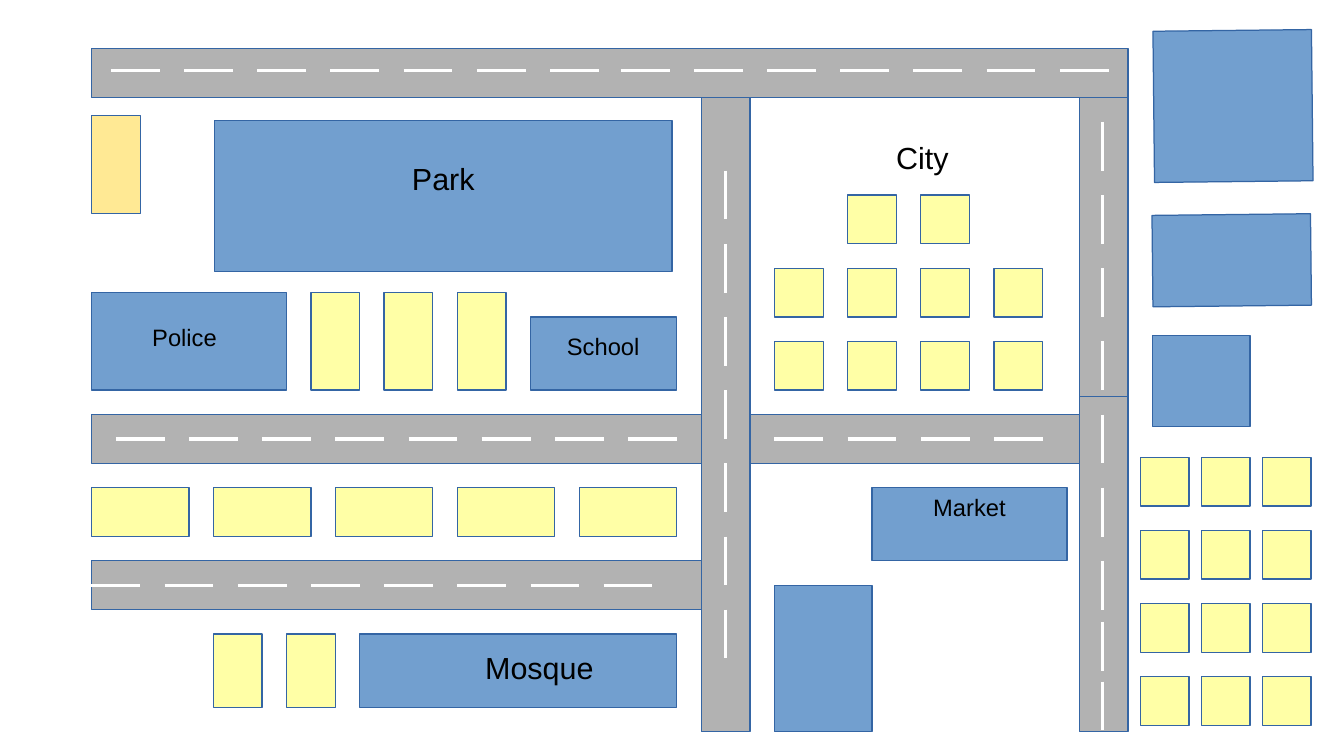
from dataclasses import dataclass

from lxml import etree
from pptx import Presentation
from pptx.dml.color import RGBColor
from pptx.enum.shapes import MSO_CONNECTOR, MSO_SHAPE
from pptx.enum.text import MSO_ANCHOR, PP_ALIGN
from pptx.oxml.ns import qn
from pptx.slide import Slide
from pptx.text.text import TextFrame
from pptx.util import Cm, Length, Pt

RECT = MSO_SHAPE.RECTANGLE
STRAIGHT = MSO_CONNECTOR.STRAIGHT
TOP, MIDDLE = MSO_ANCHOR.TOP, MSO_ANCHOR.MIDDLE
LEFT, CENTER = PP_ALIGN.LEFT, PP_ALIGN.CENTER


@dataclass(frozen=True)
class Theme:
    font: str = "Arial"
    text: str = "000000"
    road: str = "B2B2B2"
    building: str = "729FCF"
    house: str = "FFFFA6"
    gate: str = "FFE994"
    outline: str = "3465A4"
    marking: str = "FFFFFF"
    large: int = 18
    small: int = 14


THEME = Theme()


# Map parts, measured in inches
@dataclass(frozen=True)
class Block:
    x: float
    y: float
    w: float
    h: float
    fill: str
    cols: int = 1
    rows: int = 1
    step_x: float = 0.6
    step_y: float = 0.6
    rotation: float = 0
    text: str = ""
    size: int = THEME.small


@dataclass(frozen=True)
class Label:
    x: float
    y: float
    w: float
    h: float
    text: str
    size: int
    wrap: bool = True


@dataclass(frozen=True)
class Dashes:
    x: float
    y: float
    count: int
    vertical: bool = False
    step: float = 0.6


DASH = 0.4

ROADS = [
    Block(0.75, 3.4, 8.5, 0.4, THEME.road),
    Block(0.75, 4.6, 5.4, 0.4, THEME.road),
    Block(5.75, 0.75, 0.4, 5.25, THEME.road),
    Block(8.85, 0.8, 0.4, 3, THEME.road),
    Block(0.75, 0.4, 8.5, 0.4, THEME.road),
    Block(8.85, 3.25, 0.4, 2.75, THEME.road),
]

HOUSES = [
    Block(6.95, 1.6, 0.4, 0.4, THEME.house, cols=2),
    Block(6.35, 2.2, 0.4, 0.4, THEME.house, cols=4, rows=2),
    Block(2.55, 2.4, 0.4, 0.8, THEME.house, cols=3),
    Block(0.75, 4, 0.8, 0.4, THEME.house, cols=5, step_x=1),
    Block(1.75, 5.2, 0.4, 0.6, THEME.house, cols=2),
    Block(9.35, 3.75, 0.4, 0.4, THEME.house, cols=3, rows=4, step_x=0.5),
]

BUILDINGS = [
    Block(0.75, 0.95, 0.4, 0.8, THEME.gate),
    Block(1.76, 0.99, 3.75, 1.24, THEME.building, text="Park", size=THEME.large),
    Block(0.75, 2.4, 1.6, 0.8, THEME.building),
    Block(4.35, 2.6, 1.2, 0.6, THEME.building),
    Block(2.95, 5.2, 2.6, 0.6, THEME.building),
    Block(7.15, 4, 1.6, 0.6, THEME.building, text="Market"),
    Block(6.35, 4.8, 0.8, 1.2, THEME.building),
    Block(9.46, 0.25, 1.3, 1.24, THEME.building, rotation=359.4),
    Block(9.45, 1.76, 1.3, 0.75, THEME.building, rotation=359.4),
    Block(9.45, 2.75, 0.8, 0.75, THEME.building),
]

MARKINGS = [
    Dashes(0.91, 0.58, 7),
    Dashes(5.09, 0.58, 7),
    Dashes(0.95, 3.6, 8),
    Dashes(6.35, 3.6, 4),
    Dashes(0.75, 4.8, 8),
    Dashes(5.95, 1.4, 7, vertical=True),
    Dashes(9.04, 1, 7, vertical=True),
    Dashes(9.04, 5.1, 2, vertical=True, step=0.49),
]

LABELS = [
    Label(7.25, 1.09, 1.5, 0.66, "City", THEME.large),
    Label(1.15, 2.6, 0.8, 0.91, "Police", THEME.small),
    Label(4.55, 2.67, 0.8, 0.91, "School", THEME.small),
    Label(3.88, 5.27, 1.09, 0.66, "Mosque", THEME.large, wrap=False),
]


def length(inches: float) -> Length:
    return Cm(inches * 2.54)


def rgb(color: str) -> RGBColor:
    return RGBColor.from_string(color)


def write(tf: TextFrame, text: str, size: int, align: PP_ALIGN) -> None:
    tf.text = text
    p = tf.paragraphs[0]
    p.alignment = align
    font = p.runs[0].font
    font.name, font.size = THEME.font, Pt(size)
    font.color.rgb = rgb(THEME.text)


def draw_block(s: Slide, block: Block) -> None:
    for row in range(block.rows):
        for col in range(block.cols):
            x = block.x + col * block.step_x
            y = block.y + row * block.step_y
            sp = s.shapes.add_shape(RECT, length(x), length(y),
                                    length(block.w), length(block.h))
            sp.shadow.inherit = False
            sp.rotation = block.rotation
            sp.fill.solid()
            sp.fill.fore_color.rgb = rgb(block.fill)
            sp.line.color.rgb = rgb(THEME.outline)
            sp.line.width = Cm(0)
            if block.text:
                tf = sp.text_frame
                tf.vertical_anchor = MIDDLE
                tf.margin_bottom = length(0.34)  # lifts the name above centre
                write(tf, block.text, block.size, CENTER)


def draw_dashes(s: Slide, dashes: Dashes) -> None:
    dx, dy = (0, 1) if dashes.vertical else (1, 0)
    for i in range(dashes.count):
        x = dashes.x + dx * i * dashes.step
        y = dashes.y + dy * i * dashes.step
        line = s.shapes.add_connector(STRAIGHT, length(x), length(y),
                                      length(x + dx * DASH), length(y + dy * DASH))
        line.line.color.rgb = rgb(THEME.marking)
        line.line.width = Cm(0)
        etree.SubElement(line.element.spPr, qn("a:effectLst"))


def draw_label(s: Slide, label: Label) -> None:
    box = s.shapes.add_textbox(length(label.x), length(label.y),
                               length(label.w), length(label.h))
    tf = box.text_frame
    tf.word_wrap = label.wrap
    tf.vertical_anchor = TOP
    write(tf, label.text, label.size, LEFT)


def main() -> None:
    prs = Presentation()
    prs.slide_width, prs.slide_height = length(11.02), length(6.2)
    s = prs.slides.add_slide(prs.slide_layouts[6])

    # Roads lie below the buildings, markings and labels on top
    for block in ROADS + HOUSES + BUILDINGS:
        draw_block(s, block)
    for dashes in MARKINGS:
        draw_dashes(s, dashes)
    for label in LABELS:
        draw_label(s, label)

    prs.save("out.pptx")


if __name__ == "__main__":
    main()
